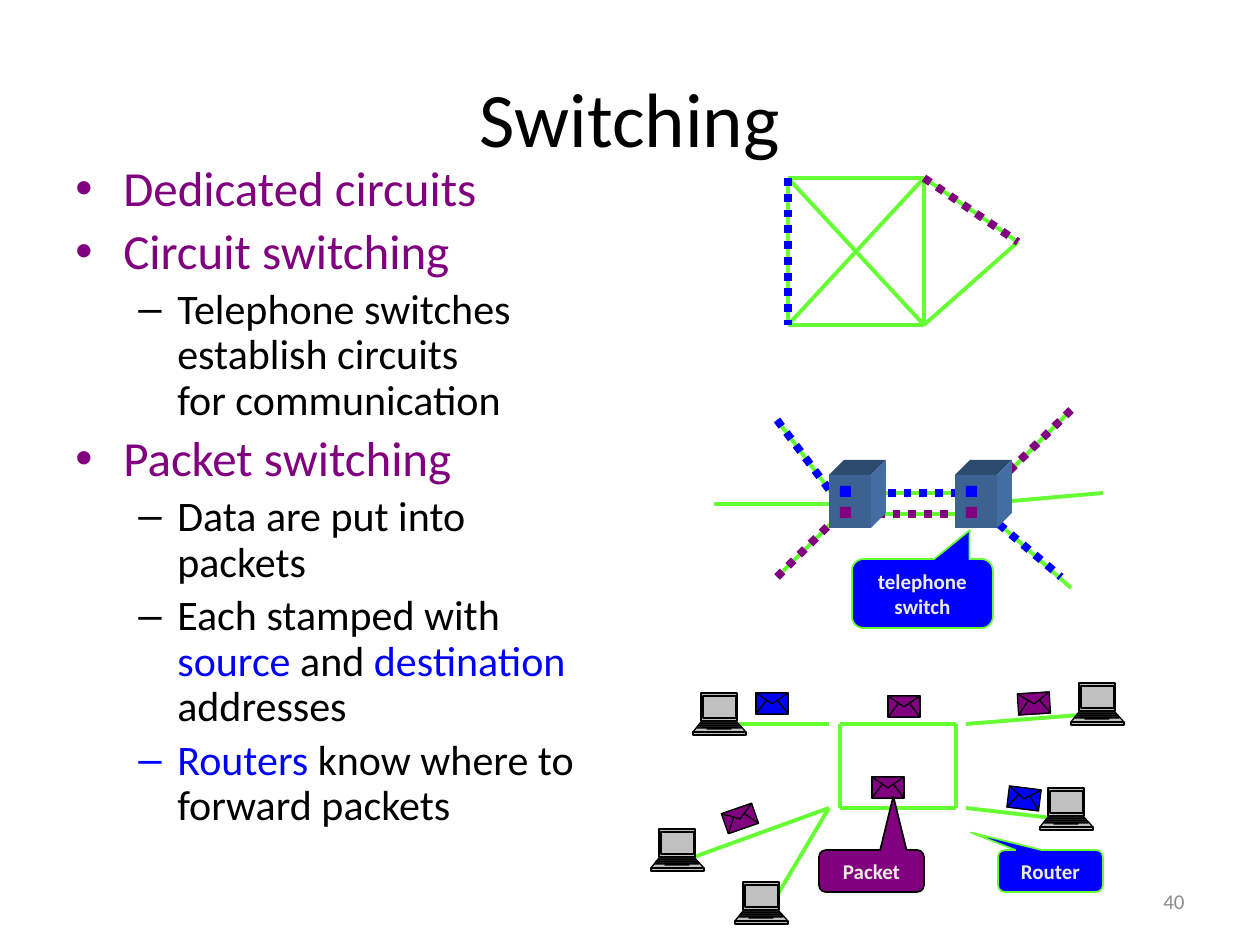
from copy import deepcopy
from math import cos, radians, sin

from lxml.etree import SubElement
from pptx import Presentation
from pptx.dml.color import RGBColor
from pptx.enum.dml import MSO_LINE
from pptx.enum.shapes import MSO_CONNECTOR, MSO_SHAPE
from pptx.enum.text import MSO_ANCHOR, PP_ALIGN
from pptx.oxml.ns import qn
from pptx.util import Emu, Pt

SCALE = 914400 / 126  # EMU in one px
FONT = "Calibri"
GREEN, BLUE, PURPLE = "66FF33", "0000FF", "800080"
BLACK, GREY, CREAM = "000000", "C0C0C0", "EEECE1"
CUBE_FRONT, CUBE_TOP, CUBE_SIDE = "3B6291", "2C4A6E", "426EA3"

# Level, then runs of (text, colour)
OUTLINE = [
    (0, [("Dedicated circuits", PURPLE)]),
    (0, [("Circuit switching", PURPLE)]),
    (1, [("Telephone switches\nestablish circuits\nfor communication", BLACK)]),
    (0, [("Packet switching", PURPLE)]),
    (1, [("Data are put into\npackets", BLACK)]),
    (1, [("Each stamped with\n", BLACK), ("source", BLUE), (" and ", BLACK),
         ("destination\n", BLUE), ("addresses", BLACK)]),
    (1, [("Routers", BLUE), (" know where to\nforward packets", BLACK)]),
]
# Bullet, text indent, hanging indent, text size, space before
LEVELS = [("•", 48, 48, 28, 5.6), ("–", 102, 39, 24, 4.8)]

# Laptop parts: top left, top right, top, bottom left, bottom right, bottom
LAPTOP = [
    (8, 44, 0, 8, 44, 28), (8, 44, 29, 0, 53, 39), (0, 53, 39, 0, 53, 42),
    (10, 43, 3, 10, 43, 25), (8, 44, 30, 7, 45, 31), (15, 38, 35, 14, 38, 36),
    (6, 46, 32, 5, 47, 33), (5, 47, 34, 4, 48, 35),
]

MESH = [
    (788, 325, 924, 325), (788, 178, 924, 178), (788, 178, 788, 325),
    (924, 178, 924, 325), (1018, 242, 924, 325), (1018, 242, 924, 178),
    (924, 178, 788, 325), (924, 325, 788, 178),
]
TRUNKS = [
    (861, 493, 977, 493), (851, 504, 777, 577), (861, 514, 977, 514),
    (777, 420, 840, 504), (1103, 493, 977, 504), (1071, 410, 977, 504),
    (1071, 588, 977, 504), (840, 504, 714, 504),
]
BLUE_CALL = [(777, 420, 840, 504), (872, 493, 966, 493), (987, 514, 1061, 577)]
PURPLE_CALL = [(777, 577, 840, 514), (861, 514, 966, 514), (987, 493, 1071, 410)]
ROUTES = [
    (829, 724, 724, 724), (829, 808, 683, 861), (829, 808, 766, 914),
    (956, 808, 840, 808), (956, 724, 840, 724), (840, 808, 840, 724),
    (956, 808, 956, 724), (1061, 819, 966, 808), (1092, 714, 966, 724),
]
LAPTOPS = [(693, 693), (651, 829), (735, 882), (1040, 788), (1071, 683)]
ENVELOPES = [
    (724, 808, 340.8, PURPLE), (872, 777, 0, PURPLE), (756, 693, 0, BLUE),
    (1008, 788, 7.1, BLUE), (1018, 693, 356.4, PURPLE),
]


def px(*lengths):
    return [Emu(round(length * SCALE)) for length in lengths]


def color(hex_value):
    return RGBColor.from_string(hex_value)


def style(shape, fill, line=None, width=0.75):
    shape.shadow.inherit = False
    shape.fill.solid()
    shape.fill.fore_color.rgb = color(fill)
    if line:
        shape.line.color.rgb = color(line)
        shape.line.width = Pt(width)
    else:
        shape.line.fill.background()


def write(paragraph, text, hex_value, size, bold=False):
    """Add text to the paragraph, with a line break at each newline."""
    values = {"name": FONT, "size": Pt(size), "bold": bold}
    for index, part in enumerate(text.split("\n")):
        if index:
            paragraph.add_line_break()
        if not part:
            continue
        run = paragraph.add_run()
        run.text = part
        run.font.color.rgb = color(hex_value)
        for name, value in values.items():
            setattr(run.font, name, value)


def add_shape(slide, kind, box, fill, line=None, width=0.75):
    shape = slide.shapes.add_shape(kind, *px(*box))
    style(shape, fill, line, width)
    return shape


def add_lines(slide, ends, hex_value, width=2.25, dash=None):
    for end in ends:
        connector = slide.shapes.add_connector(MSO_CONNECTOR.STRAIGHT, *px(*end))
        connector.line.color.rgb = color(hex_value)
        connector.line.width = Pt(width)
        if dash:
            connector.line.dash_style = dash
        SubElement(connector.element.spPr, qn("a:effectLst"))


def add_circuit(slide, ends, hex_value):
    add_lines(slide, ends, hex_value, 4.5, MSO_LINE.ROUND_DOT)


def add_polygon(slide, points, fill):
    builder = slide.shapes.build_freeform(*points[0], scale=SCALE)
    builder.add_line_segments(points[1:])
    style(builder.convert_to_shape(), fill)


def add_callout(slide, box, text, tail, fill, line):
    shape = add_shape(slide, MSO_SHAPE.ROUNDED_RECTANGULAR_CALLOUT, box, fill, line, 1)
    for index, value in enumerate((*tail, 0.167)):
        shape.adjustments[index] = value
    frame = shape.text_frame
    frame.word_wrap = False
    frame.vertical_anchor = MSO_ANCHOR.TOP
    paragraph = frame.paragraphs[0]
    paragraph.alignment = PP_ALIGN.CENTER
    write(paragraph, text, CREAM, 12, True)


def add_cube(slide, left, top, width=42, height=53, depth=15):
    right, bottom = left + width, top + height
    back_top, back_right = top - depth, right + depth
    add_polygon(slide, [(left, top), (left + depth, back_top),
                        (back_right, back_top), (right, top)], CUBE_TOP)
    add_polygon(slide, [(right, top), (back_right, back_top),
                        (back_right, bottom - depth), (right, bottom)], CUBE_SIDE)
    add_shape(slide, MSO_SHAPE.RECTANGLE, (left, top, width, height), CUBE_FRONT)
    for offset, fill in ((11, BLUE), (32, PURPLE)):
        add_shape(slide, MSO_SHAPE.RECTANGLE, (left + 11, top + offset, 11, 11), fill)


def add_laptop(slide, left, top):
    builder = slide.shapes.build_freeform(8, 0, scale=SCALE)
    for top_left, top_right, upper, bottom_left, bottom_right, lower in LAPTOP:
        builder.move_to(top_left, upper)
        builder.add_line_segments([(top_right, upper), (bottom_right, lower),
                                   (bottom_left, lower)])
    shape = builder.convert_to_shape(*px(left, top))
    style(shape, GREY, BLACK)
    # Give each part its own outline, so that the parts are filled one over another
    outline = next(shape.element.iter(qn("a:path")))
    outlines = outline.getparent()
    empty = deepcopy(outline)
    for child in list(empty):
        empty.remove(child)
    for step in list(outline):
        if step.tag == qn("a:moveTo"):
            part = deepcopy(empty)
            outlines.append(part)
        part.append(step)
    outlines.remove(outline)
    for part in list(outlines):
        if len(part) < 3:
            outlines.remove(part)


def add_envelope(slide, left, top, rotation, fill):
    angle = radians(rotation)
    flap = (left + 5 * sin(angle), top + 5 - 5 * cos(angle), 32, 11)
    body = (left, top, 32, 21)
    for kind, box in ((MSO_SHAPE.RECTANGLE, body), (MSO_SHAPE.ISOSCELES_TRIANGLE, body),
                      (MSO_SHAPE.ISOSCELES_TRIANGLE, flap)):
        shape = add_shape(slide, kind, box, fill, BLACK)
        shape.rotation = rotation
    shape.element.spPr.find(qn("a:xfrm")).set("flipV", "1")


def add_title(slide, text):
    title = slide.shapes.title
    for name, value in zip(("left", "top", "width", "height"), px(63, 38, 1134, 158)):
        setattr(title, name, value)
    title.text_frame.vertical_anchor = MSO_ANCHOR.MIDDLE
    paragraph = title.text_frame.paragraphs[0]
    paragraph.alignment = PP_ALIGN.CENTER
    write(paragraph, text, BLACK, 44)


def add_outline(slide):
    frame = slide.shapes.add_textbox(*px(63, 158, 1134, 746)).text_frame
    frame.word_wrap = True
    for index, (level, runs) in enumerate(OUTLINE):
        paragraph = frame.add_paragraph() if index else frame.paragraphs[0]
        bullet, indent, hanging, size, space = LEVELS[level]
        values = {"level": level, "line_spacing": 0.9, "space_before": Pt(space if index else 0)}
        for name, value in values.items():
            setattr(paragraph, name, value)
        properties = paragraph._p.get_or_add_pPr()
        margin, first = px(indent, -hanging)
        properties.set("marL", str(margin))
        properties.set("indent", str(first))
        SubElement(properties, qn("a:buFont"), typeface="Arial")
        SubElement(properties, qn("a:buChar"), char=bullet)
        paragraph.font.size = Pt(size)
        for text, hex_value in runs:
            write(paragraph, text, hex_value, size)


def add_slide_number(slide, text):
    frame = slide.shapes.add_textbox(*px(903, 876, 294, 50)).text_frame
    frame.word_wrap = True
    frame.vertical_anchor = MSO_ANCHOR.MIDDLE
    frame.paragraphs[0].alignment = PP_ALIGN.RIGHT
    write(frame.paragraphs[0], text, "8C8C8C", 12)


def main():
    presentation = Presentation()
    presentation.slide_width, presentation.slide_height = px(1260, 945)
    slide = presentation.slides.add_slide(presentation.slide_layouts[5])
    add_slide_number(slide, "40")
    add_title(slide, "Switching")
    add_outline(slide)

    # Dedicated circuits
    add_lines(slide, MESH, GREEN)
    add_circuit(slide, [(788, 178, 788, 325)], BLUE)
    add_circuit(slide, [(924, 178, 1018, 242)], PURPLE)

    # Circuit switching
    add_lines(slide, TRUNKS, GREEN)
    add_callout(slide, (852, 559, 141, 69), "telephone\nswitch", (0.335, -0.917), BLUE, GREEN)
    add_circuit(slide, BLUE_CALL, BLUE)
    add_circuit(slide, PURPLE_CALL, PURPLE)
    for left in (829, 955):
        add_cube(slide, left, 475)

    # Packet switching
    add_lines(slide, ROUTES, GREEN)
    add_callout(slide, (998, 850, 105, 42), "Router", (-0.757, -0.916), BLUE, GREEN)
    for place in LAPTOPS:
        add_laptop(slide, *place)
    for envelope in ENVELOPES:
        add_envelope(slide, *envelope)
    add_callout(slide, (819, 850, 105, 42), "Packet", (0.208, -1.779), PURPLE, BLACK)
    add_envelope(slide, 888, 696, 0, PURPLE)

    presentation.save("out.pptx")


if __name__ == "__main__":
    main()
